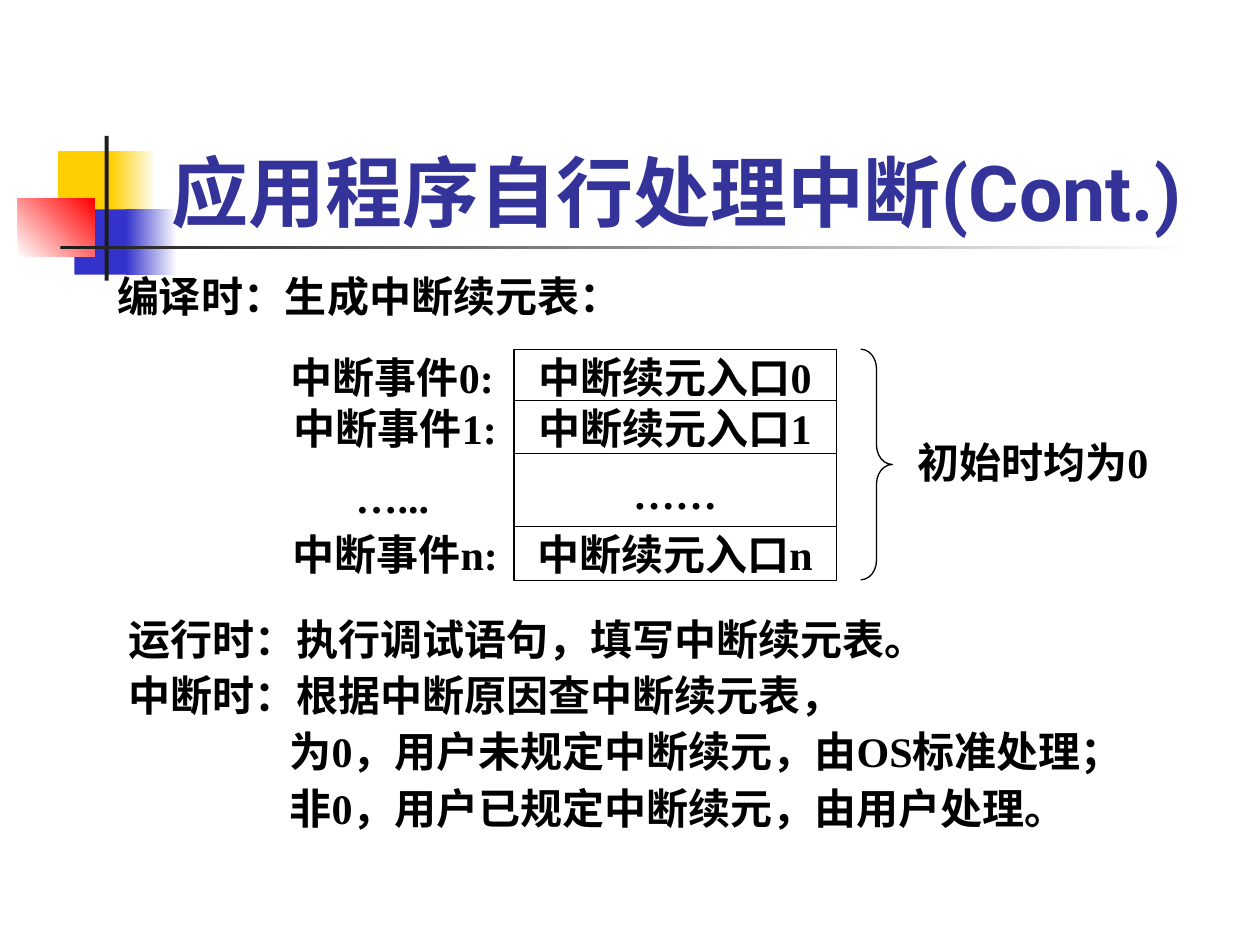
from lxml import etree
from pptx import Presentation
from pptx.dml.color import RGBColor
from pptx.enum.shapes import MSO_SHAPE
from pptx.enum.text import MSO_ANCHOR, MSO_AUTO_SIZE, PP_ALIGN
from pptx.oxml.ns import qn
from pptx.util import Cm, Pt

RECTANGLE = MSO_SHAPE.RECTANGLE
RIGHT_BRACE = MSO_SHAPE.RIGHT_BRACE
TOP, MIDDLE, BOTTOM = MSO_ANCHOR.TOP, MSO_ANCHOR.MIDDLE, MSO_ANCHOR.BOTTOM
GROW = MSO_AUTO_SIZE.SHAPE_TO_FIT_TEXT
LEFT, CENTER = PP_ALIGN.LEFT, PP_ALIGN.CENTER

BLACK = RGBColor(0x00, 0x00, 0x00)
WHITE = RGBColor(0xFF, 0xFF, 0xFF)
YELLOW = RGBColor(0xFF, 0xCF, 0x01)
BLUE = RGBColor(0x33, 0x33, 0xCC)
RED = RGBColor(0xFF, 0x00, 0x00)
CHARCOAL = RGBColor(0x1C, 0x1C, 0x1C)
TITLE_BLUE = RGBColor(0x33, 0x33, 0x99)

deck = Presentation()
deck.slide_width, deck.slide_height = Cm(25.4), Cm(19.05)
page = deck.slides.add_slide(deck.slide_layouts[6])


def add_shape(kind, place, fill=WHITE, fade=None, angle=0, outlined=False):
    shape = page.shapes.add_shape(kind, *map(Cm, place))
    shape.shadow.inherit = False
    if fade is None:
        shape.fill.solid()
        shape.fill.fore_color.rgb = fill
    else:
        shape.fill.gradient()
        shape.fill.gradient_angle = angle
        for stop, color in zip(shape.fill.gradient_stops, (fill, fade)):
            stop.color.rgb = color
    if outlined:
        shape.line.color.rgb = BLACK
        shape.line.width = Pt(0.75)
    else:
        shape.line.fill.background()
    return shape


def write(box, text, anchor=MIDDLE, align=CENTER, wrap=False,
          font="Times New Roman", size=24, color=BLACK):
    frame = box.text_frame
    frame.text = text
    frame.word_wrap = wrap
    frame.vertical_anchor = anchor
    for para in frame.paragraphs:
        para.alignment = align
        for span in para.runs:
            span.font.name = font
            span.font.size = Pt(size)
            span.font.bold = True
            span.font.color.rgb = color


# Corner decoration and title rule
for place, fill, fade, angle in (
    ((1.17, 3.05, 1.22, 1.32), YELLOW, None, 0),
    ((2.24, 3.05, 0.91, 1.32), YELLOW, WHITE, 0),
    ((1.5, 4.22, 1.17, 1.32), BLUE, None, 0),
    ((2.54, 4.22, 1.02, 1.32), BLUE, WHITE, 0),
    ((0.36, 4.01, 1.55, 1.17), WHITE, RED, 45),
    ((2.11, 2.74, 0.08, 2.92), CHARCOAL, None, 0),
    ((1.22, 4.95, 22.86, 0.08), CHARCOAL, WHITE, 0),
):
    add_shape(RECTANGLE, place, fill, fade, angle)

# Title
title = page.shapes.add_textbox(Cm(3.2), Cm(1.73), Cm(21.64), Cm(3.18))
write(title, "应用程序自行处理中断(Cont.)", BOTTOM, LEFT, True,
      "Roboto", 44, TITLE_BLUE)

# Compile time
compile_time = page.shapes.add_textbox(Cm(2.11), Cm(5.33), Cm(21.39), Cm(1.27))
write(compile_time, "编译时：生成中断续元表：", TOP, LEFT, True)
compile_time.text_frame.auto_size = GROW

# Entry cells
for top, height, entry in (
    (7.04, 1.09, "中断续元入口0"),
    (8.08, 1.09, "中断续元入口1"),
    (9.14, 1.6, "……"),
    (10.62, 1.09, "中断续元入口n"),
):
    write(add_shape(RECTANGLE, (10.36, top, 6.5, height), outlined=True), entry)

# Event labels
for left, top, height, event in (
    (5.66, 7.04, 1.09, "中断事件0:"),
    (5.72, 8.08, 1.09, "中断事件1:"),
    (5.72, 10.62, 1.09, "中断事件n:"),
    (5.66, 9.42, 1.19, "…..."),
):
    write(add_shape(RECTANGLE, (left, top, 4.5, height)), event)

# Run time and interrupt time
handling = add_shape(RECTANGLE, (2.34, 12.52, 21.36, 4.62))
write(handling, "\n".join((
    "运行时：执行调试语句，填写中断续元表。",
    "中断时：根据中断原因查中断续元表，",
    "为0，用户未规定中断续元，由OS标准处理；",
    "非0，用户已规定中断续元，由用户处理。",
)), TOP, LEFT, True)
handling.text_frame.auto_size = GROW
for index, para in enumerate(handling.text_frame.paragraphs):
    para.line_spacing = 0.7
    properties = para._p.get_or_add_pPr()
    if index > 0:
        # Space before as half a line
        before = etree.SubElement(properties, qn("a:spcBef"))
        etree.SubElement(before, qn("a:spcPct")).set("val", "50000")
    if index > 1:
        properties.set("marL", str(Cm(3.25)))
        properties.set("indent", "0")

# Brace and its note
brace = add_shape(RIGHT_BRACE, (17.35, 7.04, 0.64, 4.65), outlined=True)
brace.adjustments[0] = 0.61
brace.adjustments[1] = 0.5
write(add_shape(RECTANGLE, (18.42, 8.31, 4.8, 2.01)), "初始时均为0")

deck.save("out.pptx")
